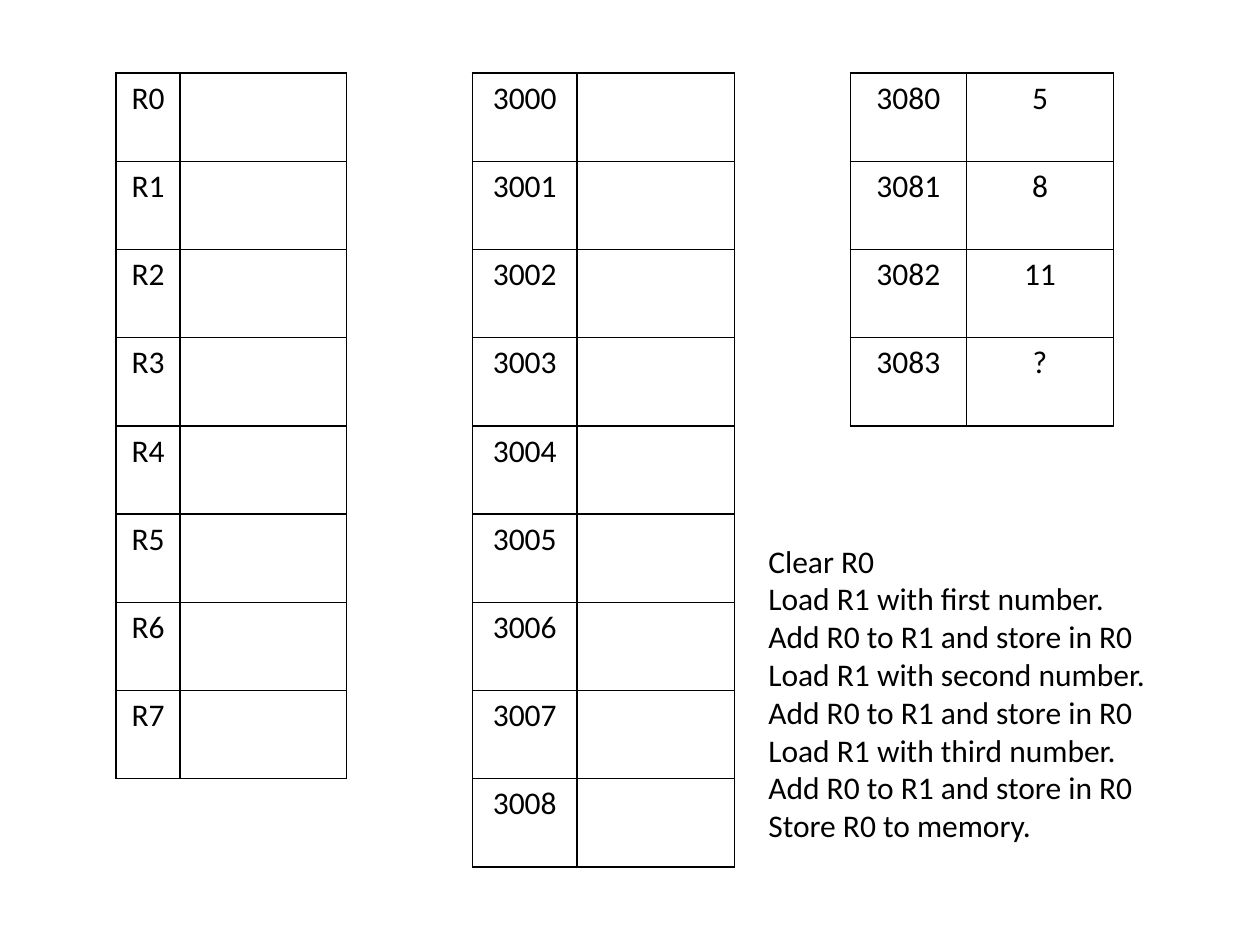
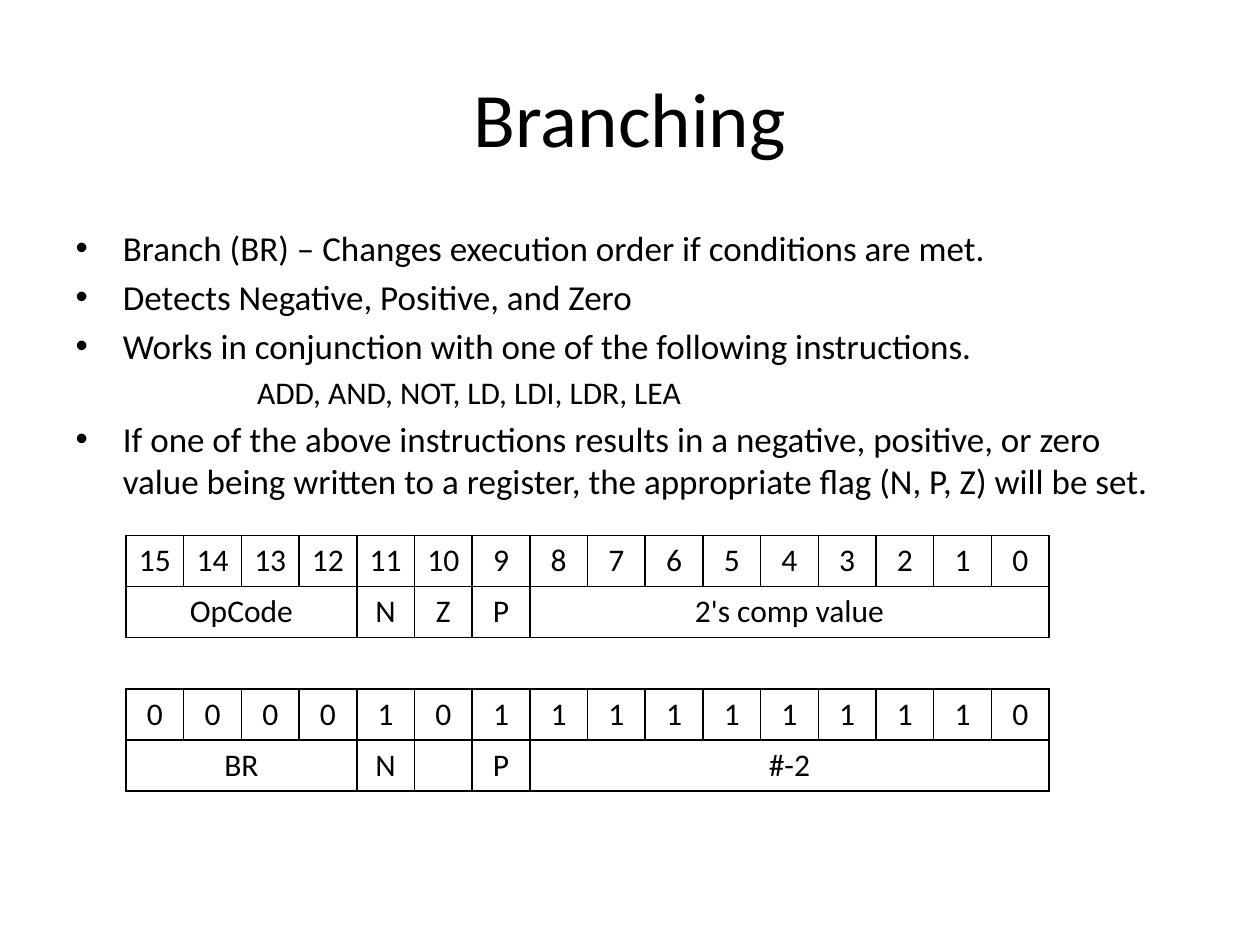
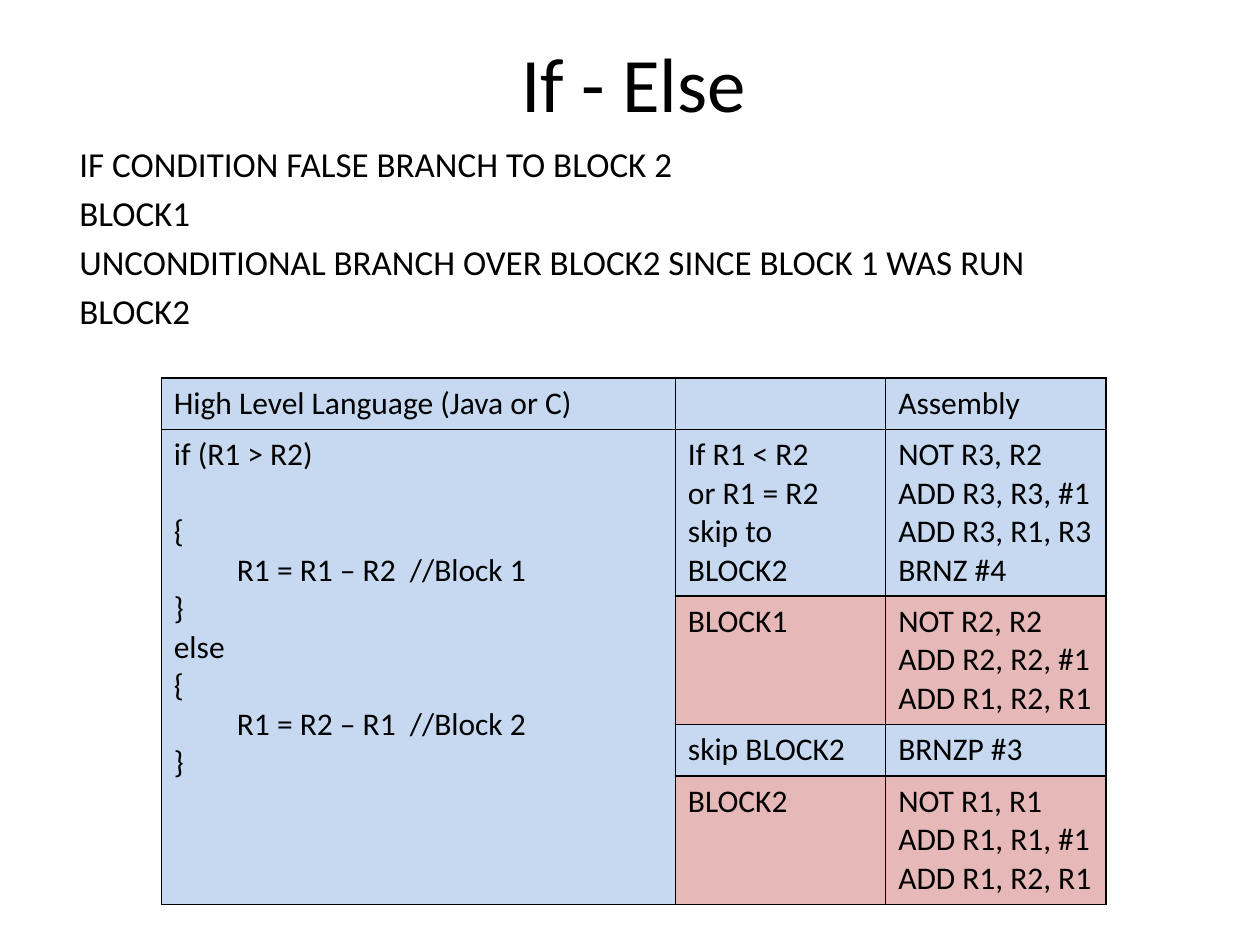
from lxml import etree
from pptx import Presentation
from pptx.dml.color import RGBColor
from pptx.enum.text import MSO_ANCHOR, MSO_AUTO_SIZE, PP_ALIGN
from pptx.oxml.ns import qn
from pptx.util import Inches, Pt

LEFT, CENTER = PP_ALIGN.LEFT, PP_ALIGN.CENTER
MIDDLE, TOP = MSO_ANCHOR.MIDDLE, MSO_ANCHOR.TOP
NO_FIT = MSO_AUTO_SIZE.NONE

BLACK = RGBColor(0x00, 0x00, 0x00)
BLUE = RGBColor(0xC6, 0xD9, 0xF1)
PINK = RGBColor(0xE6, 0xB9, 0xB8)

TITLE_AND_BODY, BLANK = 1, 6


def place(sp, left, top, width, height):
    sp.left, sp.top = Inches(left), Inches(top)
    sp.width, sp.height = Inches(width), Inches(height)


def set_border(cell, side, drawn):
    """Add one border to a cell: L, R, T or B."""
    ln = etree.SubElement(cell._tc.get_or_add_tcPr(), qn("a:ln" + side), w=str(Pt(1)))
    if drawn:
        fill = etree.SubElement(ln, qn("a:solidFill"))
        etree.SubElement(fill, qn("a:srgbClr"), val=str(BLACK))
    else:
        etree.SubElement(ln, qn("a:noFill"))


class Deck:
    font, color = "Calibri", BLACK
    title_size, body_size, text_size = 44, 20, 18

    def __init__(self):
        self.prs = Presentation()
        self.prs.slide_width, self.prs.slide_height = Inches(10), Inches(7.5)
        self.s = None

    def slide(self, layout):
        self.s = self.prs.slides.add_slide(self.prs.slide_layouts[layout])

    def style(self, p, size, align=LEFT):
        p.alignment = align
        for r in p.runs:
            r.font.name, r.font.size = self.font, Pt(size)
            r.font.color.rgb = self.color

    def title(self, text, left, top):
        sp = self.s.shapes.title
        place(sp, left, top, 9, 1.25)
        sp.text_frame.text = text
        sp.text_frame.vertical_anchor = MIDDLE
        self.style(sp.text_frame.paragraphs[0], self.title_size, CENTER)

    def body(self, items, left, top):
        """Each item is its text and its left margin; None keeps the bullet."""
        sp = self.s.placeholders[1]
        place(sp, left, top, 9, 4.95)
        tf = sp.text_frame
        tf.auto_size = NO_FIT
        tf.text = "\n".join(text for text, _ in items)
        for i, (p, (_, margin)) in enumerate(zip(tf.paragraphs, items)):
            size = self.body_size
            if margin is not None:
                pPr = p._p.get_or_add_pPr()
                pPr.set("marL", str(Inches(margin)))
                pPr.set("indent", "0")
                etree.SubElement(pPr, qn("a:buNone"))
                if margin:
                    p.level, size = 1, self.text_size
            p.space_before = Pt(0.2 * size if i else 0)
            self.style(p, size)

    def text(self, lines, left, top, width, height):
        sp = self.s.shapes.add_textbox(0, 0, 0, 0)
        place(sp, left, top, width, height)
        sp.text_frame.text = "\n".join(lines)
        for p in sp.text_frame.paragraphs:
            self.style(p, self.text_size)

    def table(self, rows, left, top, widths, heights, align=CENTER,
              boxed=lambda r, c: True, spans=(), fill=lambda r, c: None):
        """Draw an edge where a boxed cell lies on either side of it."""
        n_rows, n_cols = len(heights), len(widths)
        table = self.s.shapes.add_table(
            n_rows, n_cols, Inches(left), Inches(top),
            Inches(sum(widths)), Inches(sum(heights))).table
        table.first_row = table.horz_banding = False
        for column, width in zip(table.columns, widths):
            column.width = Inches(width)
        for row, height in zip(table.rows, heights):
            row.height = Inches(height)

        def in_box(r, c):
            return 0 <= r < n_rows and 0 <= c < n_cols and boxed(r, c)

        for r in range(n_rows):
            for c in range(n_cols):
                cell = table.cell(r, c)
                for side, dr, dc in (("L", 0, -1), ("R", 0, 1), ("T", -1, 0), ("B", 1, 0)):
                    set_border(cell, side, in_box(r, c) or in_box(r + dr, c + dc))
                color = fill(r, c)
                if color is None:
                    cell.fill.background()
                else:
                    cell.fill.solid()
                    cell.fill.fore_color.rgb = color
                cell.vertical_anchor = TOP
        for r, c, r_end, c_end in spans:
            table.cell(r, c).merge(table.cell(r_end, c_end))
        for r, row in enumerate(rows):
            for c, text in row.items():
                tf = table.cell(r, c).text_frame
                tf.text = text
                for p in tf.paragraphs:
                    self.style(p, self.text_size, align)
        return table


def memory_slide(deck):
    deck.slide(BLANK)
    # Registers, program memory and data memory share one table
    register_col, program_col, data_col = 0, 3, 6
    values = ["5", "8", "11", "?"]
    block_rows = {register_col: 8, program_col: 9, data_col: len(values)}
    rows = []
    for r in range(9):
        row = {program_col: str(3000 + r)}
        if r < block_rows[register_col]:
            row[register_col] = f"R{r}"
        if r < block_rows[data_col]:
            row[data_col], row[data_col + 1] = str(3080 + r), values[r]
        rows.append(row)
    deck.table(rows, 0.92, 0.58, [0.51, 1.32, 1, 0.83, 1.25, 0.92, 0.92, 1.17], [0.7] * 9,
               boxed=lambda r, c: c % 3 < 2 and r < block_rows[c - c % 3])

    # Steps of the program
    add = "Add R0 to R1 and store in R0"
    steps = ["Clear R0"]
    for nth in ("first", "second", "third"):
        steps += [f"Load R1 with {nth} number.", add]
    deck.text(steps + ["Store R0 to memory."], 6, 4.25, 3.23, 2.83)


def branching_slide(deck):
    deck.slide(TITLE_AND_BODY)
    deck.title("Branching", 0.5, 0.3)
    deck.body([
        ("Branch (BR) – Changes execution order if conditions are met.", None),
        ("Detects Negative, Positive, and Zero", None),
        ("Works in conjunction with one of the following instructions.", None),
        ("ADD, AND, NOT, LD, LDI, LDR, LEA", 1.44),
        ("If one of the above instructions results in a negative, positive, or zero value "
         "being written to a register, the appropriate flag (N, P, Z) will be set.", None),
    ], 0.5, 1.75)

    # Instruction format above an example, with a gap row between
    bits = 16
    gap_row = 2
    rows = [
        {c: str(bits - 1 - c) for c in range(bits)},
        {0: "OpCode", 4: "N", 5: "Z", 6: "P", 7: "2's comp value"},
        {},
        dict(enumerate("0000101111111110")),
        {0: "BR", 4: "N", 6: "P", 7: "#-2"},
    ]
    spans = [(r, first, r, last) for r in (1, 4) for first, last in ((0, 3), (7, 15))]
    deck.table(rows, 1, 4.25, [7.33 / bits] * bits, [0.405] * len(rows),
               boxed=lambda r, c: r != gap_row, spans=spans)


def if_else_slide(deck):
    deck.slide(TITLE_AND_BODY)
    deck.title("If - Else", 0.53, 0.02)
    lines = ["IF CONDITION FALSE BRANCH TO BLOCK 2", "BLOCK1",
             "UNCONDITIONAL BRANCH OVER BLOCK2 SINCE BLOCK 1 WAS RUN", "BLOCK2"]
    deck.body([(line, 0) for line in lines], 0.53, 1.08)

    # High level code beside its assembly
    code = ("if (R1 > R2)\n{\n\tR1 = R1 – R2  //Block 1\n}\n"
            "else\n{\n\tR1 = R2 – R1  //Block 2\n}")
    rows = [
        {0: "High Level Language (Java or C)", 2: "Assembly"},
        {0: code, 1: "If R1 < R2\nor R1 = R2\nskip to BLOCK2",
         2: "NOT R3, R2\nADD R3, R3, #1\nADD R3, R1, R3\nBRNZ #4"},
        {1: "BLOCK1", 2: "NOT R2, R2\nADD R2, R2, #1\nADD R1, R2, R1"},
        {1: "skip BLOCK2", 2: "BRNZP #3"},
        {1: "BLOCK2", 2: "NOT R1, R1\nADD R1, R1, #1\nADD R1, R2, R1"},
    ]
    table = deck.table(rows, 1.28, 3, [4.08, 1.67, 1.75], [0.41, 1.32, 1.02, 0.41, 1.02],
                       align=LEFT, spans=[(1, 0, 4, 0)],
                       fill=lambda r, c: PINK if c and r in (2, 4) else BLUE)
    # One line of space below the condition
    table.cell(1, 0).text_frame.paragraphs[1].space_before = Pt(22)


def main():
    deck = Deck()
    memory_slide(deck)
    branching_slide(deck)
    if_else_slide(deck)
    deck.prs.save("out.pptx")


if __name__ == "__main__":
    main()
